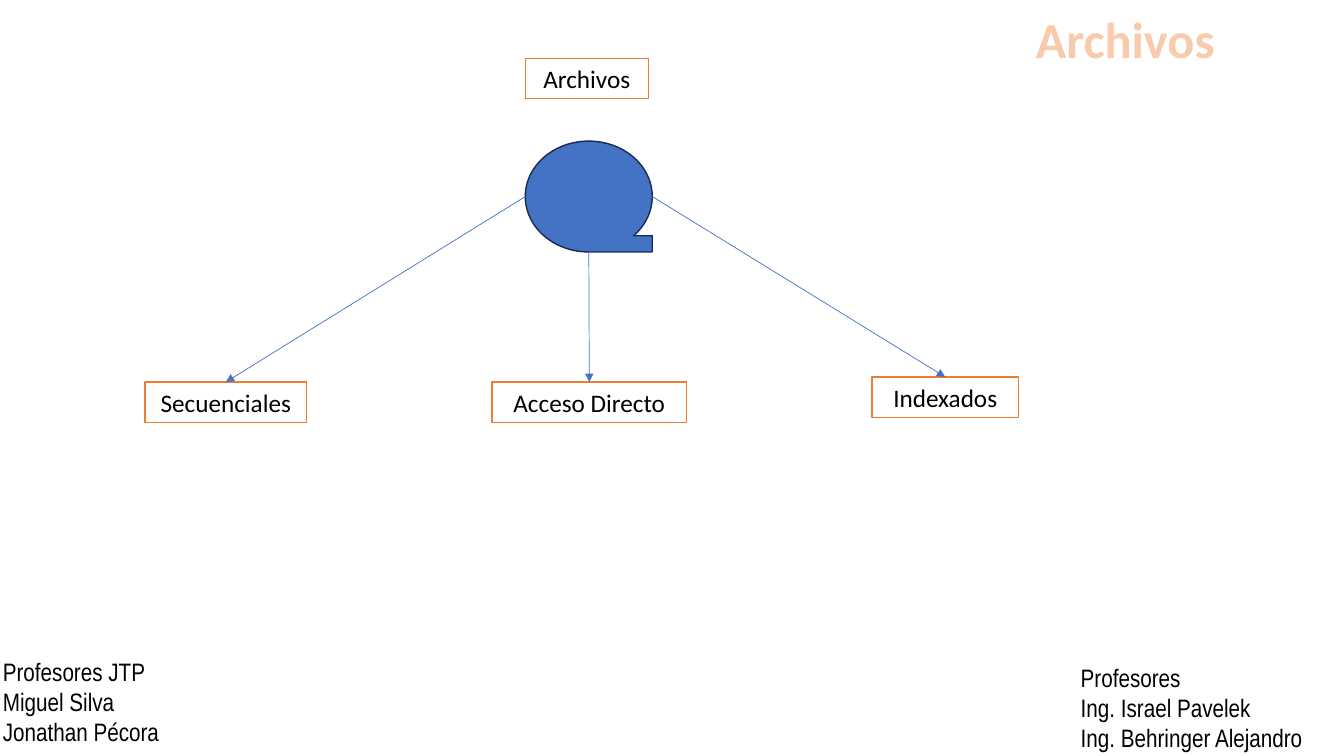
"""Build a slide that classifies files by their access method."""
from dataclasses import dataclass

from lxml import etree
from pptx import Presentation
from pptx.dml.color import RGBColor
from pptx.enum.dml import MSO_THEME_COLOR
from pptx.enum.shapes import MSO_CONNECTOR, MSO_SHAPE
from pptx.enum.text import MSO_ANCHOR, MSO_AUTO_SIZE, PP_ALIGN
from pptx.oxml.ns import qn
from pptx.shapes.autoshape import Shape
from pptx.slide import Slide
from pptx.text.text import TextFrame
from pptx.util import Emu, Pt

EMU_PER_PX = 9144
TITLE_ONLY = 5
TOP, LEFT, BOTTOM, RIGHT = range(4)
RECTANGLE = MSO_SHAPE.RECTANGLE
STORAGE = MSO_SHAPE.FLOWCHART_SEQUENTIAL_ACCESS_STORAGE
STRAIGHT = MSO_CONNECTOR.STRAIGHT
CENTER, ALIGN_LEFT = PP_ALIGN.CENTER, PP_ALIGN.LEFT
ANCHOR_BOTTOM, ANCHOR_TOP = MSO_ANCHOR.BOTTOM, MSO_ANCHOR.TOP
FIT_SHAPE, NO_FIT = MSO_AUTO_SIZE.SHAPE_TO_FIT_TEXT, MSO_AUTO_SIZE.NONE
BACKGROUND = MSO_THEME_COLOR.BACKGROUND_1


@dataclass(frozen=True)
class Theme:
    text: RGBColor = RGBColor(0x00, 0x00, 0x00)
    title: RGBColor = RGBColor(0xF8, 0xCB, 0xAD)
    box_fill: RGBColor = RGBColor(0xFF, 0xFF, 0xFF)
    box_line: RGBColor = RGBColor(0xED, 0x7D, 0x31)
    storage_fill: RGBColor = RGBColor(0x44, 0x72, 0xC4)
    storage_line: RGBColor = RGBColor(0x17, 0x2C, 0x51)
    arrow: RGBColor = RGBColor(0x44, 0x72, 0xC4)
    font: str = "Calibri"
    credit_font: str = "Arial Narrow"
    title_size: float = 36
    body_size: float = 18
    outline: float = 1
    arrow_width: float = 0.5


@dataclass(frozen=True)
class Area:
    x: int
    y: int
    w: int
    h: int

    def emu(self) -> tuple[Emu, Emu, Emu, Emu]:
        return px(self.x), px(self.y), px(self.w), px(self.h)


@dataclass(frozen=True)
class Branch:
    label: str
    area: Area
    side: int


@dataclass(frozen=True)
class Credit:
    lines: tuple[str, ...]
    area: Area


THEME = Theme()
TITLE_AREA = Area(924, 0, 384, 74)
ROOT_AREA = Area(521, 58, 122, 40)
STORAGE_AREA = Area(521, 140, 126, 110)
BRANCHES = (
    Branch("Secuenciales", Area(144, 379, 160, 40), LEFT),
    Branch("Acceso Directo", Area(488, 379, 193, 40), BOTTOM),
    Branch("Indexados", Area(865, 374, 145, 40), RIGHT),
)
CREDITS = (
    Credit(("Profesores", "Ing. Israel Pavelek", "Ing. Behringer Alejandro"),
           Area(1062, 652, 271, 101)),
    Credit(("Profesores JTP", "Miguel Silva", "Jonathan Pécora"),
           Area(-7, 646, 282, 101)),
)


def px(n: int) -> Emu:
    return Emu(n * EMU_PER_PX)


def style_text(tf: TextFrame, font: str, size: float, color: RGBColor,
               align: PP_ALIGN, bold: bool = False) -> None:
    tf.word_wrap = True
    for p in tf.paragraphs:
        p.alignment = align
        for r in p.runs:
            r.font.name = font
            r.font.size = Pt(size)
            r.font.bold = bold
            r.font.color.rgb = color


def add_title(s: Slide, text: str) -> None:
    sp = s.shapes.title
    sp.left, sp.top, sp.width, sp.height = TITLE_AREA.emu()
    tf = sp.text_frame
    tf.text = text
    tf.auto_size = NO_FIT
    tf.vertical_anchor = ANCHOR_BOTTOM
    tf.paragraphs[0].line_spacing = 0.9
    style_text(tf, THEME.font, THEME.title_size, THEME.title, CENTER, bold=True)


def add_credit(s: Slide, credit: Credit) -> None:
    tf = s.shapes.add_textbox(*credit.area.emu()).text_frame
    tf.text = "\n".join(credit.lines)
    tf.auto_size = FIT_SHAPE
    style_text(tf, THEME.credit_font, THEME.body_size, THEME.text, ALIGN_LEFT)


def add_figure(s: Slide, kind: MSO_SHAPE, area: Area,
               fill: RGBColor, line: RGBColor) -> Shape:
    sp = s.shapes.add_shape(kind, *area.emu())
    sp.shadow.inherit = False
    sp.fill.solid()
    sp.fill.fore_color.rgb = fill
    sp.line.color.rgb = line
    sp.line.width = Pt(THEME.outline)
    return sp


def add_box(s: Slide, label: str, area: Area) -> Shape:
    sp = add_figure(s, RECTANGLE, area, THEME.box_fill, THEME.box_line)
    tf = sp.text_frame
    tf.text = label
    tf.auto_size = FIT_SHAPE
    tf.vertical_anchor = ANCHOR_TOP
    style_text(tf, THEME.font, THEME.body_size, THEME.text, CENTER)
    return sp


def add_arrow(s: Slide, start: Shape, side: int, end: Shape) -> None:
    line = s.shapes.add_connector(STRAIGHT, 0, 0, 0, 0)
    line.begin_connect(start, side)
    line.end_connect(end, TOP)
    line.line.color.rgb = THEME.arrow
    line.line.width = Pt(THEME.arrow_width)
    sp_pr = line._element.spPr
    etree.SubElement(sp_pr.find(qn("a:ln")), qn("a:tailEnd"), type="triangle")
    etree.SubElement(sp_pr, qn("a:effectLst"))


def main() -> None:
    prs = Presentation()
    prs.slide_width, prs.slide_height = px(1333), px(750)
    s = prs.slides.add_slide(prs.slide_layouts[TITLE_ONLY])
    s.background.fill.solid()
    s.background.fill.fore_color.theme_color = BACKGROUND
    for credit in CREDITS:
        add_credit(s, credit)
    add_title(s, "Archivos")
    storage = add_figure(s, STORAGE, STORAGE_AREA,
                         THEME.storage_fill, THEME.storage_line)
    for branch in BRANCHES:
        box = add_box(s, branch.label, branch.area)
        add_arrow(s, storage, branch.side, box)
    add_box(s, "Archivos", ROOT_AREA)
    prs.save("out.pptx")


if __name__ == "__main__":
    main()
